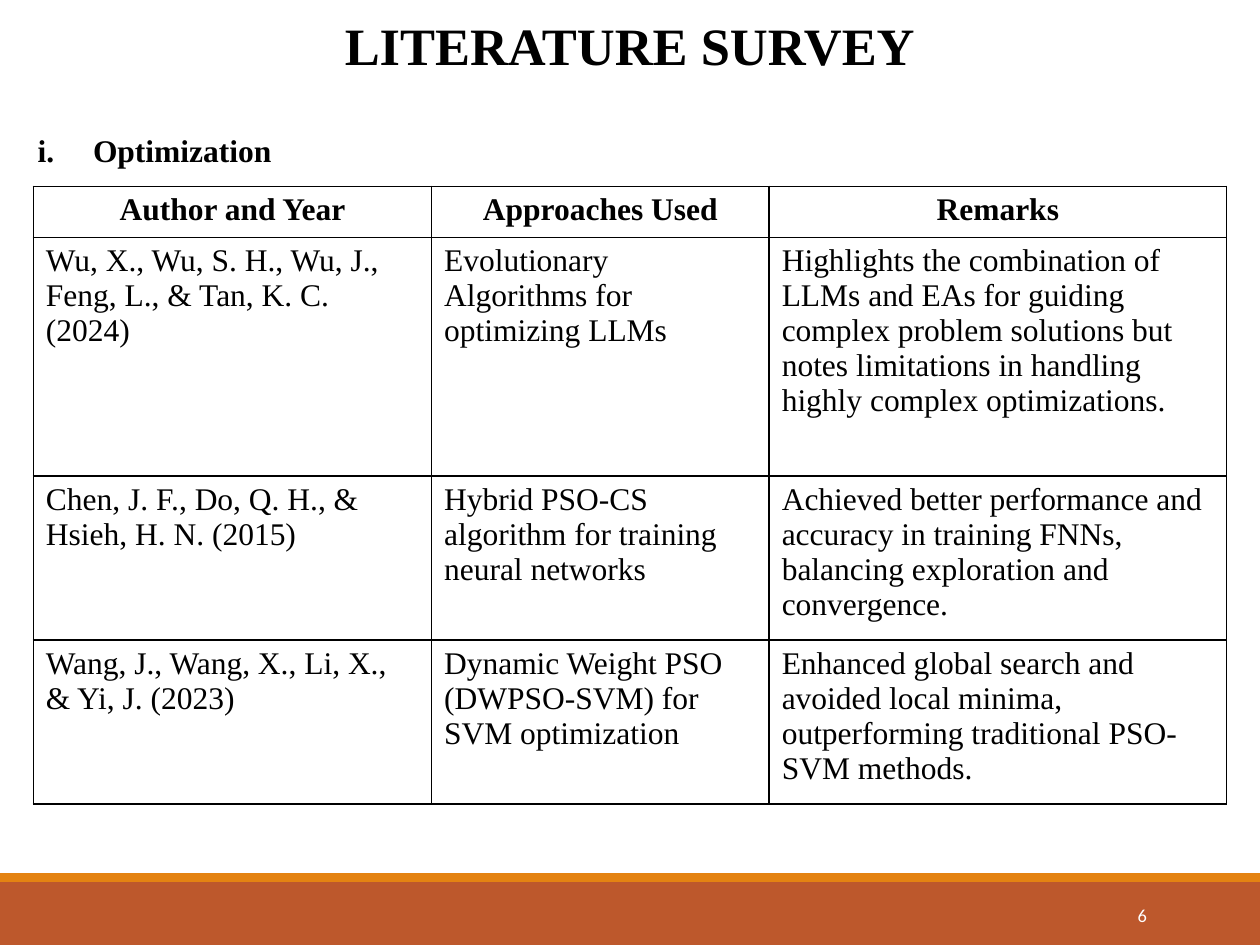
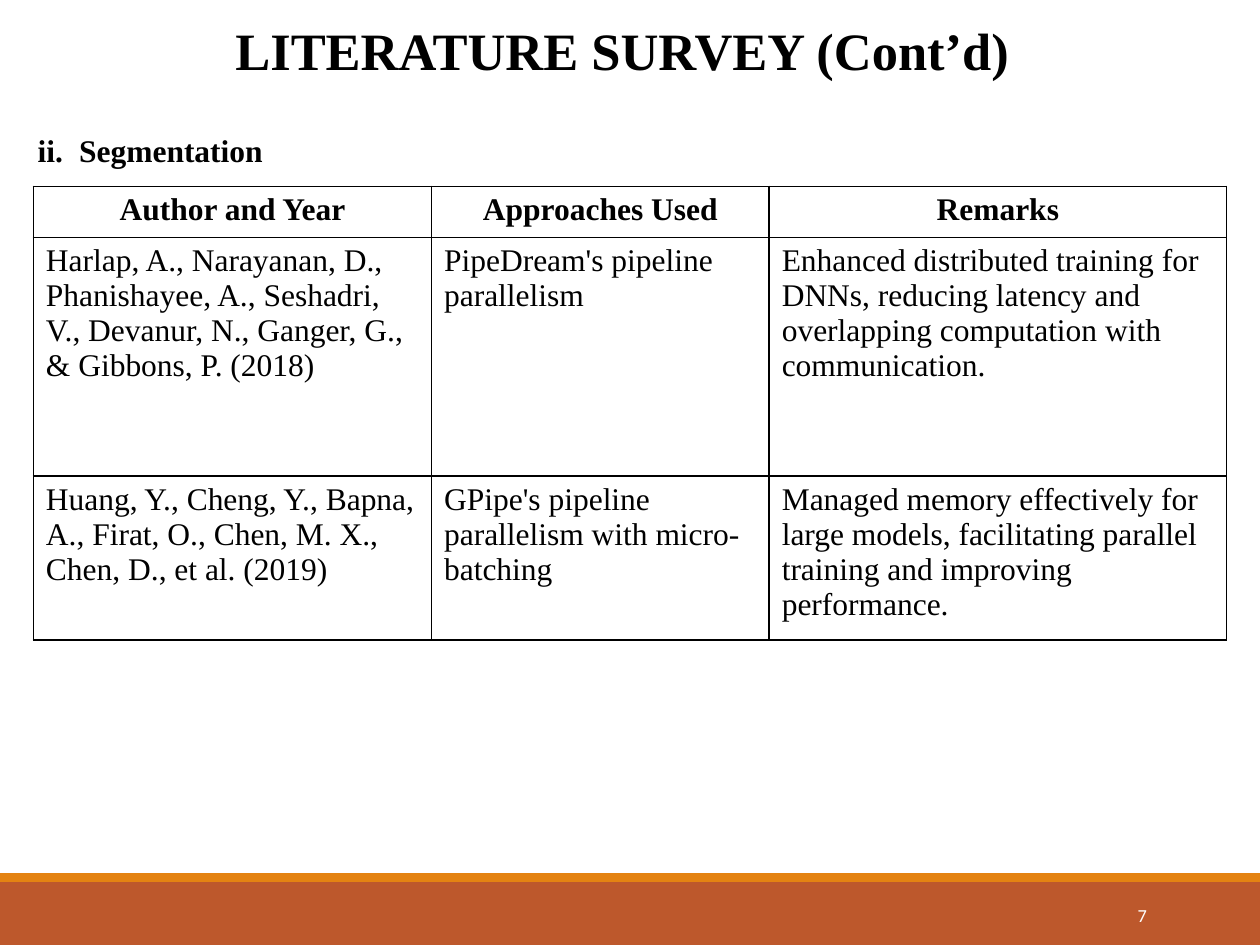
from lxml import etree
from pptx import Presentation
from pptx.dml.color import RGBColor
from pptx.enum.shapes import MSO_SHAPE
from pptx.enum.text import MSO_ANCHOR, MSO_AUTO_SIZE, PP_ALIGN
from pptx.oxml.ns import qn
from pptx.util import Inches, Pt

BLACK = RGBColor(0x00, 0x00, 0x00)
WHITE = RGBColor(0xFF, 0xFF, 0xFF)
RUST = RGBColor(0xBD, 0x58, 0x2C)
AMBER = RGBColor(0xE4, 0x83, 0x12)
SERIF, SANS = "Times New Roman", "Calibri"
LEFT, MID, RIGHT = PP_ALIGN.LEFT, PP_ALIGN.CENTER, PP_ALIGN.RIGHT
TOP, CENTRE = MSO_ANCHOR.TOP, MSO_ANCHOR.MIDDLE
FIT, FIXED = MSO_AUTO_SIZE.SHAPE_TO_FIT_TEXT, MSO_AUTO_SIZE.NONE
RECT = MSO_SHAPE.RECTANGLE

COLS, ROWS = 100, 75
WIDTH, HEIGHT = Inches(10), Inches(7.5)
WIDTHS = (31.6, 26.8, 36.3)
HEIGHTS = (4.05, 18.95, 13, 13)
HEAD = ("Author and Year", "Approaches Used", "Remarks")

PAGES = (
    dict(
        title="LITERATURE SURVEY", place=(0, 0.5, 100, 6.1), page=6,
        topic="Optimization", start=1, span=20.7, indent=4.4,
        rows=(
            ("Wu, X., Wu, S. H., Wu, J., Feng, L., & Tan, K. C. (2024)",
             "Evolutionary Algorithms for optimizing LLMs",
             "Highlights the combination of LLMs and EAs for guiding complex "
             "problem solutions but notes limitations in handling highly "
             "complex optimizations."),
            ("Chen, J. F., Do, Q. H., & Hsieh, H. N. (2015)",
             "Hybrid PSO-CS algorithm for training neural networks",
             "Achieved better performance and accuracy in training FNNs, "
             "balancing exploration and convergence."),
            ("Wang, J., Wang, X., Li, X., & Yi, J. (2023)",
             "Dynamic Weight PSO (DWPSO-SVM) for SVM optimization",
             "Enhanced global search and avoided local minima, "
             "outperforming traditional PSO-SVM methods."),
        ),
    ),
    dict(
        title="LITERATURE SURVEY (Cont’d)", place=(0, 0.9, 98.8, 6.1), page=7,
        topic="Segmentation", start=2, span=20, indent=3.3,
        rows=(
            ("Harlap, A., Narayanan, D., Phanishayee, A., Seshadri, V., "
             "Devanur, N., Ganger, G., & Gibbons, P. (2018)",
             "PipeDream's pipeline parallelism",
             "Enhanced distributed training for DNNs, reducing latency and "
             "overlapping computation with communication."),
            ("Huang, Y., Cheng, Y., Bapna, A., Firat, O., Chen, M. X., "
             "Chen, D., et al. (2019)",
             "GPipe's pipeline parallelism with micro-batching",
             "Managed memory effectively for large models, facilitating "
             "parallel training and improving performance."),
        ),
    ),
)


def across(cols):
    """Turn grid columns into a length."""
    return round(WIDTH * cols / COLS)


def down(rows):
    """Turn grid rows into a length."""
    return round(HEIGHT * rows / ROWS)


def area(col, row, cols, rows):
    """Turn a grid area into left, top, width and height."""
    return across(col), down(row), across(cols), down(rows)


def write(frame, text, size=18, font=SERIF, color=BLACK, bold=False, align=LEFT):
    """Write one formatted paragraph and return it."""
    para = frame.paragraphs[0]
    para.alignment = align
    run = para.add_run()
    run.text = text
    run.font.size = Pt(size)
    run.font.name = font
    run.font.bold = bold
    run.font.color.rgb = color
    return para


def add_band(slide, row, rows, color):
    """Draw a band over the full width."""
    band = slide.shapes.add_shape(RECT, *area(0, row, COLS, rows))
    band.shadow.inherit = False
    band.fill.solid()
    band.fill.fore_color.rgb = color
    band.line.fill.background()


def add_foot(slide, page):
    """Draw the two bands and the page number."""
    add_band(slide, 70, 5, RUST)
    add_band(slide, 69.3, 0.7, AMBER)
    frame = slide.shapes.add_textbox(*area(81.2, 70.6, 10.8, 4)).text_frame
    frame.word_wrap = True
    frame.vertical_anchor = CENTRE
    write(frame, str(page), size=10.5, font=SANS, color=WHITE, align=RIGHT)


def set_title(slide, text, place):
    """Place and fill the title placeholder."""
    title = slide.shapes.title
    title.left, title.top, title.width, title.height = area(*place)
    frame = title.text_frame
    frame.auto_size = FIXED
    frame.vertical_anchor = TOP
    write(frame, text, size=30, bold=True, align=MID)


def add_topic(slide, text, start, span, indent):
    """Add a heading numbered in Roman numerals."""
    frame = slide.shapes.add_textbox(*area(2, 9.9, span, 4)).text_frame
    frame.word_wrap = False
    frame.auto_size = FIT
    para = write(frame, text, bold=True)
    props = para._p.get_or_add_pPr()
    props.set("marL", str(across(indent)))
    props.set("indent", str(-across(indent)))
    mark = etree.SubElement(props, qn("a:buAutoNum"), type="romanLcPeriod")
    mark.set("startAt", str(start))


def add_edges(cell):
    """Give a cell a thin black border on each side."""
    props = cell._tc.get_or_add_tcPr()
    for spot, side in enumerate(("lnL", "lnR", "lnT", "lnB")):
        line = etree.Element(qn("a:" + side), w=str(Pt(1)))
        fill = etree.SubElement(line, qn("a:solidFill"))
        etree.SubElement(fill, qn("a:srgbClr"), val=str(BLACK))
        props.insert(spot, line)


def add_grid(slide, rows):
    """Add the survey table with its header row."""
    lines = (HEAD, *rows)
    tall = HEIGHTS[:len(lines)]
    place = area(2.65, 14.8, sum(WIDTHS), sum(tall))
    table = slide.shapes.add_table(len(lines), len(HEAD), *place).table
    table.horz_banding = False
    for col, wide in zip(table.columns, WIDTHS):
        col.width = across(wide)
    for r, line in enumerate(lines):
        table.rows[r].height = down(tall[r])
        for c, text in enumerate(line):
            cell = table.cell(r, c)
            cell.fill.background()
            add_edges(cell)
            write(cell.text_frame, text, bold=r == 0, align=LEFT if r else MID)


def main():
    """Build the slides and save them."""
    deck = Presentation()
    deck.slide_width, deck.slide_height = WIDTH, HEIGHT
    for item in PAGES:
        slide = deck.slides.add_slide(deck.slide_layouts[5])
        add_foot(slide, item["page"])
        set_title(slide, item["title"], item["place"])
        add_grid(slide, item["rows"])
        add_topic(slide, item["topic"], item["start"], item["span"], item["indent"])
    deck.save("out.pptx")


if __name__ == "__main__":
    main()
